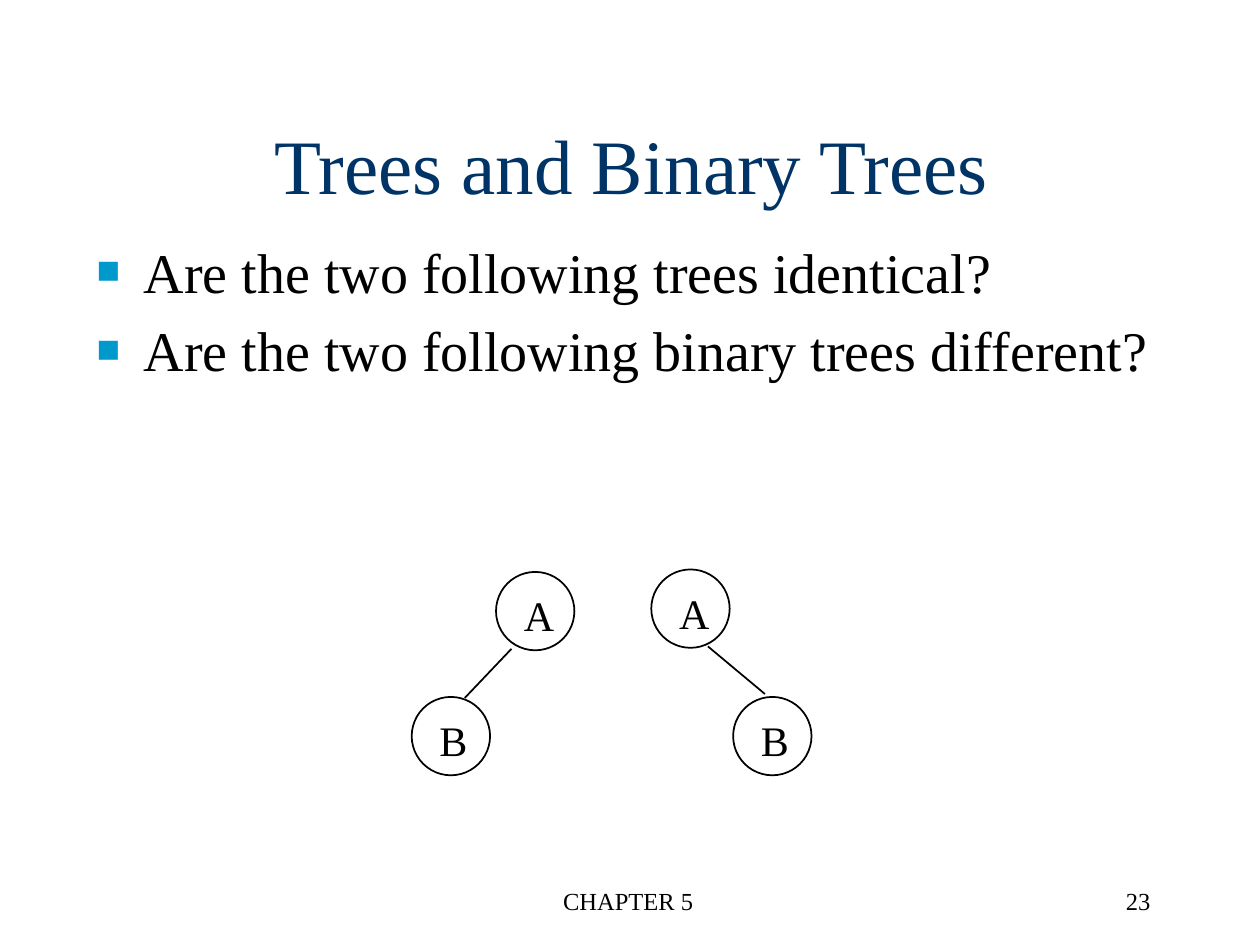
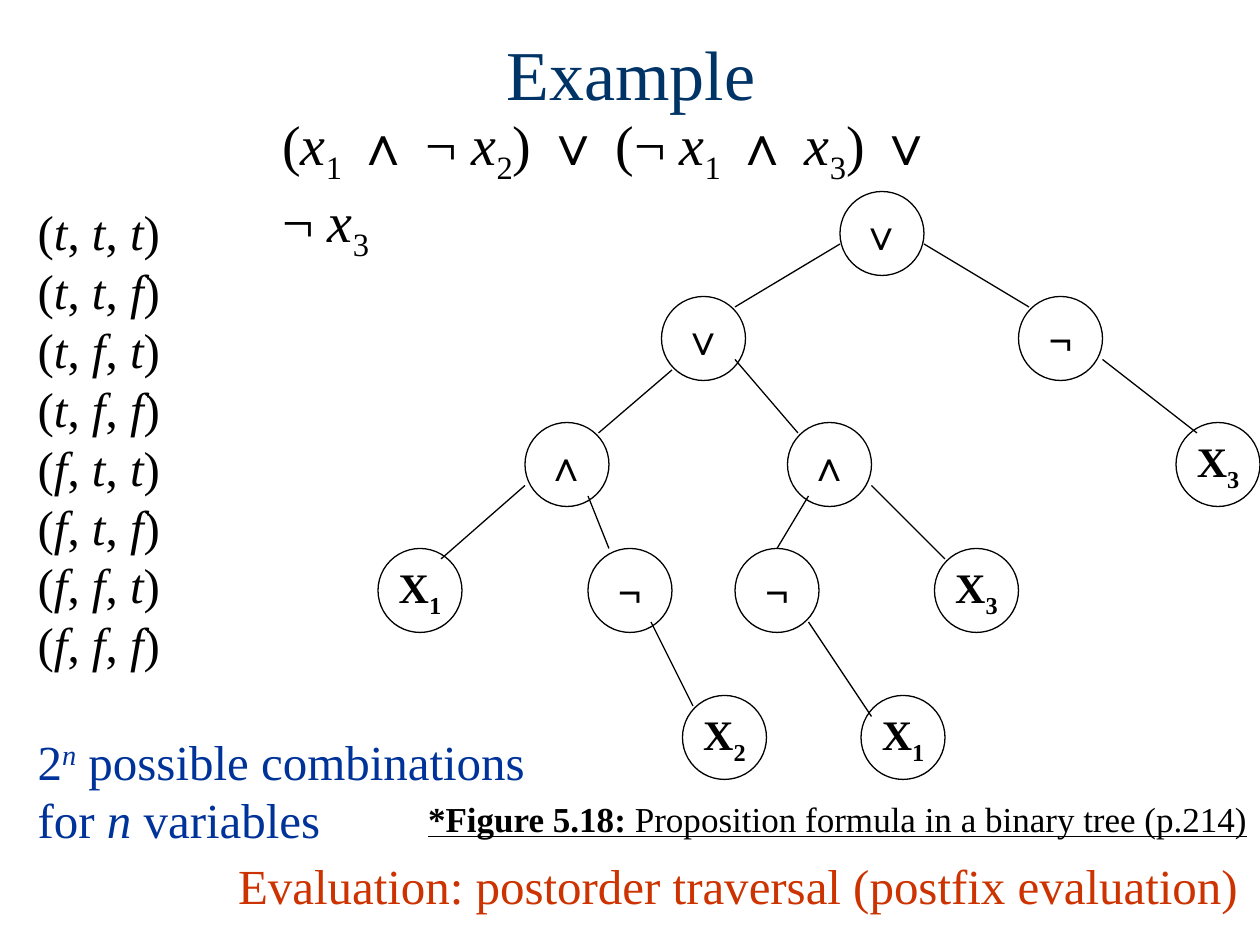
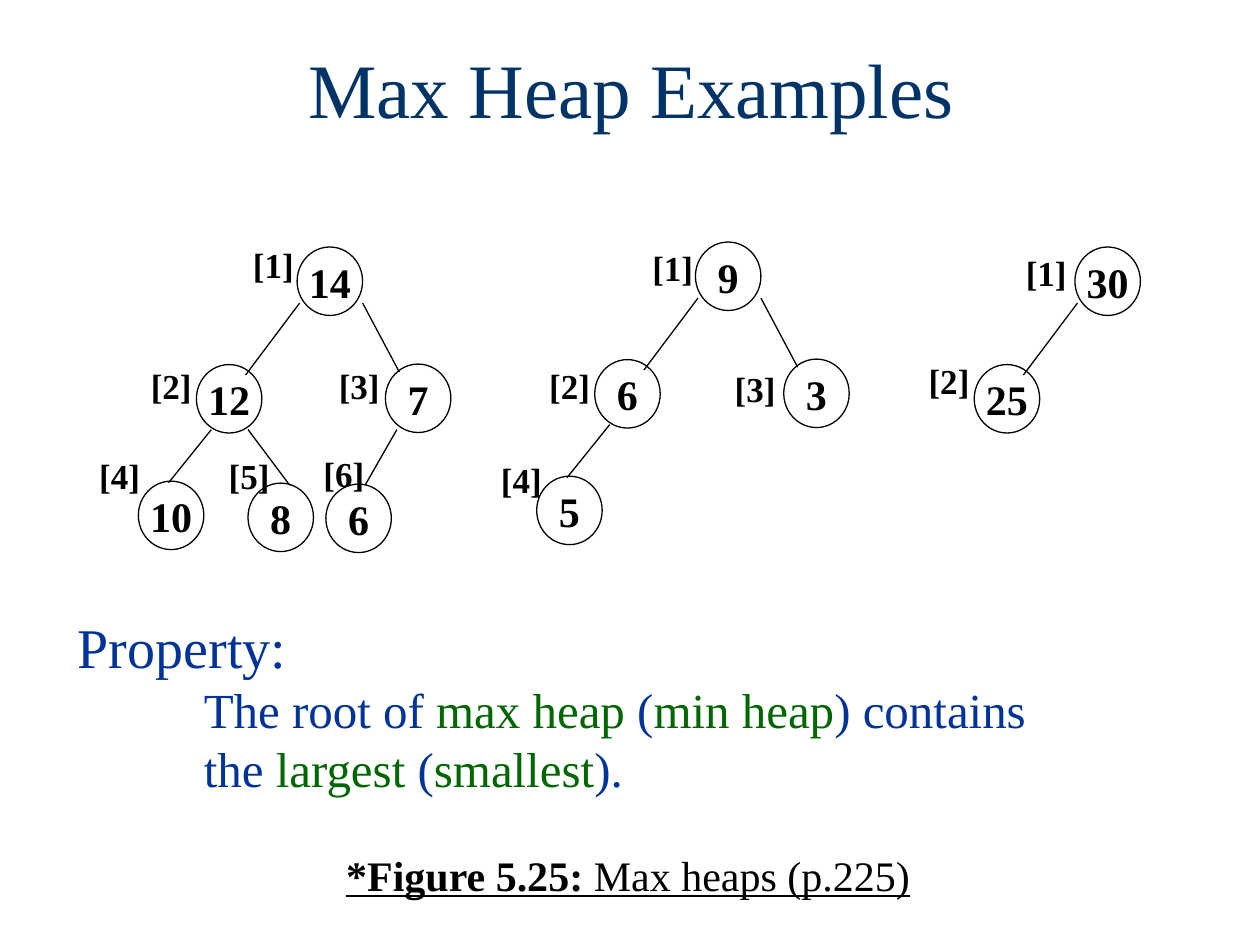
import itertools

import pptx
import pptx.dml.color
import pptx.enum.shapes
import pptx.enum.text
import pptx.oxml.ns
import pptx.util
from lxml import etree
from pptx.util import Cm, Pt

FONT = "Times New Roman"
BLACK, NAVY, BLUE = "000000", "003366", "003399"
GREEN, RED, CYAN = "006600", "CC3300", "0099CC"
LEFT, CENTER, RIGHT = (pptx.enum.text.PP_ALIGN.LEFT, pptx.enum.text.PP_ALIGN.CENTER,
                       pptx.enum.text.PP_ALIGN.RIGHT)
TOP, MIDDLE = pptx.enum.text.MSO_ANCHOR.TOP, pptx.enum.text.MSO_ANCHOR.MIDDLE
OVAL = pptx.enum.shapes.MSO_SHAPE.OVAL
STRAIGHT = pptx.enum.shapes.MSO_CONNECTOR.STRAIGHT

# Expression tree on a grid of twelfths of an inch: symbol, column, row
GRID = 2.54 / 12
FORMULA_NODES = [
    ("∨", 44, 0), ("∨", 27, 10), ("¬", 61, 10),
    ("∧", 14, 22), ("∧", 39, 22), ("X3", 76, 22),
    ("X1", 0, 34), ("¬", 34, 34), ("¬", 20, 34), ("X3", 53, 34),
    ("X2", 29, 48), ("X1", 46, 48),
]
FORMULA_EDGES = [
    (44, 5, 34, 11), (52, 5, 62, 11), (28, 17, 21, 23), (34, 16, 40, 23),
    (69, 16, 78, 23), (14, 28, 6, 35), (20, 29, 22, 34), (41, 29, 38, 34),
    (47, 28, 54, 35), (26, 41, 30, 49), (41, 41, 47, 50),
]

# Heap slots in level order, and the edge that enters each slot from its parent
HEAP_SLOTS = [(3.2, 0), (1.17, 2.37), (4.98, 2.36), (0, 4.72), (2.21, 4.76), (3.78, 4.78)]
HEAP_EDGES = [None, (3.25, 1.13, 2.16, 2.58), (4.52, 1.13, 5.26, 2.52),
              (1.47, 3.68, 0.61, 4.75), (2.21, 3.68, 3.05, 4.8), (5.21, 3.68, 4.57, 4.8)]
# Heap origin, then value and index-label offset for each filled slot
HEAPS = [
    ((2.79, 4.98), {1: ("14", -1.14, -0.2), 2: ("12", -1.17, -0.13), 3: ("7", -1.19, -0.13),
                    4: ("10", -1.04, -0.66), 5: ("8", -0.64, -0.71), 6: ("6", -0.3, -0.76)}),
    ((10.82, 4.88), {1: ("9", -1.12, -0.05), 2: ("6", -1.17, -0.03),
                     3: ("3", -1.24, 0.03), 4: ("5", -0.97, -0.48)}),
    ((18.47, 4.98), {1: ("30", -1.24, -0.03), 2: ("25", -1.17, -0.23)}),
]


def color(hex_string):
    return pptx.dml.color.RGBColor.from_string(hex_string)


def add_span(para, text, size, ink=BLACK, bold=False, italic=False, underline=False, baseline=0):
    span = para.add_run()
    span.text = text
    font = span.font
    font.name, font.size = FONT, Pt(size)
    font.bold, font.italic, font.underline = bold, italic, underline
    font.color.rgb = color(ink)
    if baseline:
        font._element.set("baseline", str(baseline * 1000))


def add_symbols(para, text, size, bold=False, italic=True):
    """Write a formula: letters in italics if asked, digits as subscripts."""
    def kind(char):
        return "letter" if char.isalpha() else "digit" if char.isdigit() else "sign"

    for name, chars in itertools.groupby(text, kind):
        add_span(para, "".join(chars), size, bold=bold, italic=italic and name == "letter",
                 baseline=-25 if name == "digit" else 0)


def set_frame(frame, wrap, anchor, margin=(0.25, 0.13)):
    frame.auto_size = pptx.enum.text.MSO_AUTO_SIZE.NONE
    frame.word_wrap = wrap
    frame.vertical_anchor = anchor
    frame.margin_left = frame.margin_right = Cm(margin[0])
    frame.margin_top = frame.margin_bottom = Cm(margin[1])


def add_box(page, box, wrap=True, align=LEFT):
    """Add an empty text box and return its frame and first paragraph."""
    frame = page.shapes.add_textbox(*map(Cm, box)).text_frame
    set_frame(frame, wrap, TOP)
    frame.paragraphs[0].alignment = align
    return frame, frame.paragraphs[0]


def add_line(page, box, text, size, ink=BLACK, bold=False, align=LEFT):
    add_span(add_box(page, box, wrap=False, align=align)[1], text, size, ink, bold)


def add_caption(page, box, number, text, size):
    para = add_box(page, box, wrap=False)[1]
    add_span(para, f"*Figure {number}:", size, bold=True, underline=True)
    add_span(para, f" {text}", size, underline=True)


def set_indent(para, left, first=0):
    properties = para._p.get_or_add_pPr()
    properties.set("marL", str(Cm(left)))
    properties.set("indent", str(Cm(first)))
    return properties


def add_bullet(para):
    properties = set_indent(para, 0.95, -0.95)
    tag = pptx.oxml.ns.qn
    ink = etree.SubElement(properties, tag("a:buClr"))
    etree.SubElement(ink, tag("a:srgbClr"), val=CYAN)
    etree.SubElement(properties, tag("a:buSzPct"), val="70000")
    etree.SubElement(properties, tag("a:buFont"), typeface=FONT)
    etree.SubElement(properties, tag("a:buChar"), char="■")


def add_node(page, box, width=0.75):
    """Add an outlined circle and return its centred paragraph."""
    node = page.shapes.add_shape(OVAL, *map(Cm, box))
    node.shadow.inherit = False
    node.fill.background()
    node.line.color.rgb = color(BLACK)
    node.line.width = Pt(width)
    set_frame(node.text_frame, False, MIDDLE, (0, 0))
    para = node.text_frame.paragraphs[0]
    para.alignment = CENTER
    return para


def add_edge(page, left, top, ends, scale=1.0, width=0.75):
    x1, y1, x2, y2 = (end * scale for end in ends)
    edge = page.shapes.add_connector(STRAIGHT, Cm(left + x1), Cm(top + y1),
                                     Cm(left + x2), Cm(top + y2))
    edge.line.color.rgb = color(BLACK)
    edge.line.width = Pt(width)
    etree.SubElement(edge._element.spPr, pptx.oxml.ns.qn("a:effectLst"))


def add_page(deck, title, box, size=44, anchor=MIDDLE):
    page = deck.slides.add_slide(deck.slide_layouts[5])
    holder = page.shapes.title
    holder.left, holder.top, holder.width, holder.height = map(Cm, box)
    set_frame(holder.text_frame, True, anchor)
    para = holder.text_frame.paragraphs[0]
    para.alignment = CENTER
    add_span(para, title, size, NAVY)
    return page


def add_footer(page, top, chapter, number):
    add_line(page, (8.64, top, 8.05, 1.27), chapter, 14, align=CENTER)
    add_line(page, (18.16, top, 5.28, 1.27), number, 14, align=RIGHT)


def add_pair(page, left, top, child, ends):
    """Draw node A at the given corner with its child B and the edge between."""
    for name, x, y in (("A", 0, 0), ("B", *child)):
        add_node(page, (left + x, top + y, 1.58, 1.58), 1)
        add_line(page, (left + x + 0.31, top + y + 0.23, 1.1, 1.27), name, 24)
    add_edge(page, left, top, ends, width=1)


def add_formula_tree(page, left, top):
    for text, column, row in FORMULA_NODES:
        box = (left + column * GRID, top + row * GRID, 8 * GRID, 8 * GRID)
        add_symbols(add_node(page, box), text, 24, bold=True, italic=False)
    for ends in FORMULA_EDGES:
        add_edge(page, left, top, ends, GRID)


def add_heap(page, left, top, entries):
    for index, (value, shift_x, shift_y) in entries.items():
        x, y = HEAP_SLOTS[index - 1]
        x, y = left + x, top + y
        add_span(add_node(page, (x, y, 1.32, 1.38)), value, 24, bold=True)
        add_line(page, (x + shift_x, y + shift_y, 1.32, 1.09), f"[{index}]", 20, bold=True)
        if index > 1:
            add_edge(page, left, top, HEAP_EDGES[index - 1])


def add_combinations(page, box):
    frame, para = add_box(page, box)
    for row, values in enumerate(itertools.product("tf", repeat=3)):
        para = frame.add_paragraph() if row else para
        add_symbols(para, f"({', '.join(values)})", 28)
    para = frame.add_paragraph()
    para.space_before = Pt(33.5)
    add_span(para, "2", 28, BLUE)
    add_span(para, "n", 28, BLUE, italic=True, baseline=30)
    add_span(para, " possible combinations", 28, BLUE)
    para = frame.add_paragraph()
    add_span(para, "for ", 28, BLUE)
    add_span(para, "n", 28, BLUE, italic=True)
    add_span(para, " variables", 28, BLUE)


def add_property(page, box):
    frame, para = add_box(page, box)
    add_span(para, "Property:", 32, BLUE)
    for texts in (("The root of ", "max heap", " (", "min heap", ") contains"),
                  ("the ", "largest", " (", "smallest", ").")):
        para = frame.add_paragraph()
        set_indent(para, 2.54)
        for text, ink in zip(texts, itertools.cycle((BLUE, GREEN))):
            add_span(para, text, 28, ink)


def build_binary_trees(deck):
    page = add_page(deck, "Trees and Binary Trees", (0, 1.7, 25.45, 3.18))
    frame, para = add_box(page, (1.7, 4.65, 22.91, 11.43))
    for row, kind in enumerate(("trees identical", "binary trees different")):
        if row:
            para = frame.add_paragraph()
            para.space_before = Pt(6.4)
        add_bullet(para)
        add_span(para, f"Are the two following {kind}?", 32)
    add_pair(page, 10, 11.53, (-1.7, 2.52), (0.31, 1.55, -0.63, 2.54))
    add_pair(page, 13.13, 11.48, (1.65, 2.57), (1.14, 1.55, 2.29, 2.51))
    add_footer(page, 17.73, "CHAPTER 5", "23")


def build_formula(deck):
    page = add_page(deck, "Example", (1.93, 0.48, 21.59, 3.18), 40, TOP)
    add_formula_tree(page, 7.62, 3.86)
    para = add_box(page, (5.44, 2.08, 14.25, 3.4))[1]
    add_symbols(para, "(x1 ∧ ¬ x2) ∨ (¬ x1 ∧ x3) ∨", 32)
    para.add_line_break()
    add_symbols(para, "¬ x3", 32)
    add_combinations(page, (0.51, 3.94, 10.9, 13.31))
    add_line(page, (4.55, 17.12, 20.88, 1.45),
             "Evaluation: postorder traversal (postfix evaluation)", 28, RED)
    add_caption(page, (8.38, 15.95, 17.12, 1.12), "5.18",
                "Proposition formula in a binary tree (p.214)", 20)


def build_heaps(deck):
    page = add_page(deck, "Max Heap Examples", (0, 0.74, 25.45, 2.06))
    for origin, entries in HEAPS:
        add_heap(page, *origin, entries)
    add_property(page, (1.32, 12.22, 19.89, 3.99))
    add_caption(page, (6.73, 16.99, 11.99, 1.27), "5.25", "Max heaps (p.225)", 24)


def main():
    deck = pptx.Presentation()
    deck.slide_width, deck.slide_height = Cm(25.4), Cm(19.05)
    build_binary_trees(deck)
    build_formula(deck)
    build_heaps(deck)
    deck.save("out.pptx")


if __name__ == "__main__":
    main()
